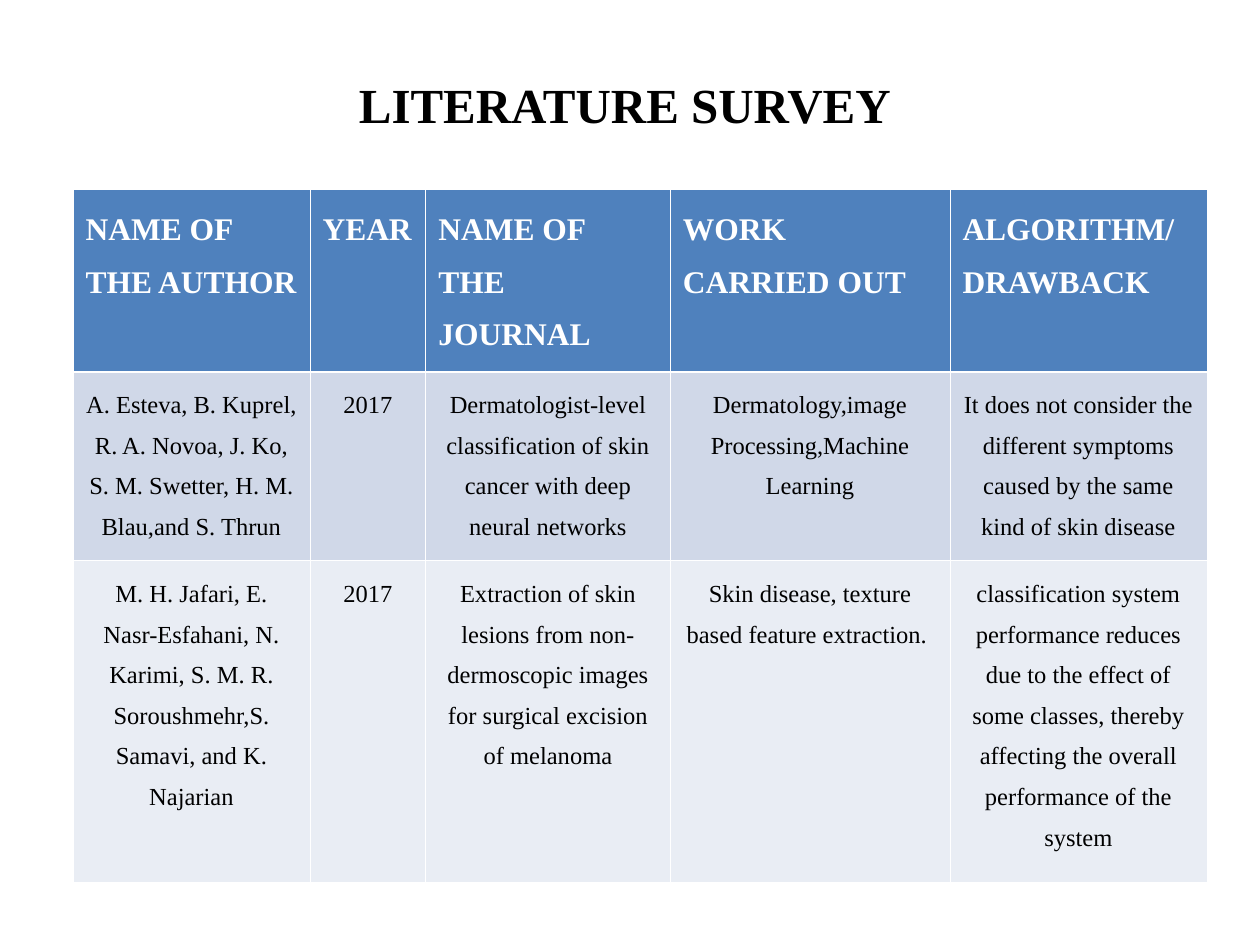
"""Build the literature survey slide with its table of reviewed papers."""
import pptx
import pptx.dml.color
import pptx.enum.text
import pptx.oxml
import pptx.oxml.ns
import pptx.util

Inches = pptx.util.Inches
Pt = pptx.util.Pt
RGBColor = pptx.dml.color.RGBColor
PP_ALIGN = pptx.enum.text.PP_ALIGN

BLACK = RGBColor(0x00, 0x00, 0x00)
WHITE = RGBColor(0xFF, 0xFF, 0xFF)
HEADER_BLUE = RGBColor(0x4F, 0x81, 0xBD)
BAND_DARK = RGBColor(0xD0, 0xD8, 0xE8)
BAND_LIGHT = RGBColor(0xE9, 0xED, 0xF4)

FONT = "Times New Roman"
THIN, THICK = 0.45, 1.47
COLUMN_WIDTHS = [1.88, 0.92, 1.94, 2.22, 2.04]
ROW_HEIGHTS = [1.39, 1.47, 2.51]
ROW_FILLS = [HEADER_BLUE, BAND_DARK, BAND_LIGHT]
SURVEY = [
    ["NAME OF THE AUTHOR", "YEAR", "NAME OF THE JOURNAL", "WORK CARRIED OUT",
     "ALGORITHM/DRAWBACK"],
    ["A. Esteva, B. Kuprel, R. A. Novoa, J. Ko, S. M. Swetter, H. M. Blau,and S. Thrun",
     "2017",
     "Dermatologist-level classification of skin cancer with deep neural networks",
     "Dermatology,image Processing,Machine Learning",
     "It does not consider the different symptoms caused by the same kind of skin disease"],
    ["M. H. Jafari, E. Nasr-Esfahani, N. Karimi, S. M. R. Soroushmehr,S. Samavi, "
     "and K. Najarian",
     "2017",
     "Extraction of skin lesions from non-dermoscopic images for surgical excision of melanoma",
     "Skin disease, texture based feature extraction. ",
     "classification system performance reduces due to the effect of some classes, "
     "thereby affecting the overall performance of the system"],
]


def add_run(paragraph, text, size, color, bold):
    run = paragraph.add_run()
    run.text = text
    run.font.name = FONT
    run.font.size = Pt(size)
    run.font.bold = bold
    run.font.color.rgb = color


def add_border(cell, side, width):
    cell._tc.get_or_add_tcPr().append(pptx.oxml.parse_xml(
        f'<a:ln{side} {pptx.oxml.ns.nsdecls("a")} w="{Pt(width)}">'
        f'<a:solidFill><a:srgbClr val="{WHITE}"/></a:solidFill></a:ln{side}>'))


presentation = pptx.Presentation()
presentation.slide_width = Inches(10)
presentation.slide_height = Inches(7.5)
slide = presentation.slides.add_slide(presentation.slide_layouts[6])

heading = slide.shapes.add_textbox(Inches(0.5), Inches(0.5), Inches(9), Inches(0.65)).text_frame
heading.word_wrap = True
heading.vertical_anchor = pptx.enum.text.MSO_ANCHOR.MIDDLE
heading.paragraphs[0].alignment = PP_ALIGN.CENTER
add_run(heading.paragraphs[0], "LITERATURE SURVEY ", 28, BLACK, True)

survey_table = slide.shapes.add_table(
    len(ROW_HEIGHTS), len(COLUMN_WIDTHS), Inches(0.58), Inches(1.5),
    Inches(sum(COLUMN_WIDTHS)), Inches(sum(ROW_HEIGHTS))).table
for column, width in zip(survey_table.columns, COLUMN_WIDTHS):
    column.width = Inches(width)
for row, height in zip(survey_table.rows, ROW_HEIGHTS):
    row.height = Inches(height)

for row_index, entries in enumerate(SURVEY):
    is_header = row_index == 0
    borders = {"L": THIN, "R": THIN,
               "T": THICK if row_index == 1 else THIN,
               "B": THICK if is_header else THIN}
    for column_index, entry in enumerate(entries):
        cell = survey_table.cell(row_index, column_index)
        for side, width in borders.items():
            add_border(cell, side, width)
        cell.fill.solid()
        cell.fill.fore_color.rgb = ROW_FILLS[row_index]
        paragraph = cell.text_frame.paragraphs[0]
        paragraph.line_spacing = 1.5
        paragraph.alignment = PP_ALIGN.LEFT if is_header else PP_ALIGN.CENTER
        add_run(paragraph, entry, 18 if is_header else 14,
                WHITE if is_header else BLACK, is_header)

presentation.save("out.pptx")
